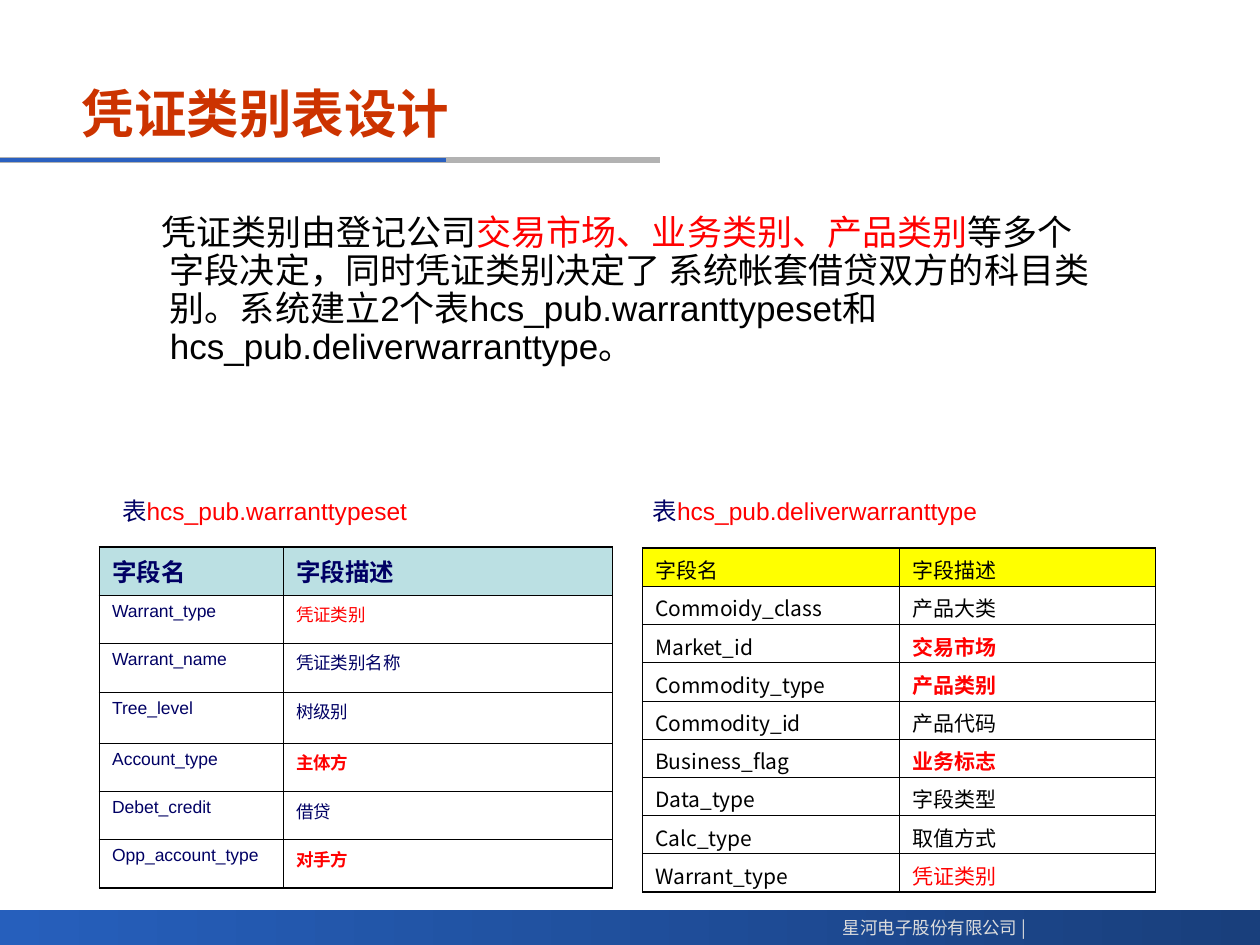
from lxml import etree
from pptx import Presentation
from pptx.dml.color import RGBColor
from pptx.enum.shapes import MSO_CONNECTOR, MSO_SHAPE
from pptx.enum.text import MSO_ANCHOR, PP_ALIGN
from pptx.oxml.ns import qn
from pptx.util import Inches, Pt

RECT = MSO_SHAPE.RECTANGLE
LINE = MSO_CONNECTOR.STRAIGHT
TOP, MID = MSO_ANCHOR.TOP, MSO_ANCHOR.MIDDLE
LEFT, RIGHT = PP_ALIGN.LEFT, PP_ALIGN.RIGHT

# The slide is a grid of square units.
COLS, ROWS = 100, 75
UNIT = Inches(0.1)
SANS, CJK = "Arial", "Noto Sans CJK SC"
INK = {
    "black": "000000", "red": "FF0000", "navy": "000064", "title": "CC3300",
    "blue": "2A60C0", "gray": "B2B2B2", "pale": "DDDDDD", "aqua": "BBE0E3",
    "yellow": "FFFF00", "dark": "193F7C", "light": "265FBC",
}

TYPES = [
    ("字段名", "字段描述"),
    ("Warrant_type", "凭证类别"),
    ("Warrant_name", "凭证类别名称"),
    ("Tree_level", "树级别"),
    ("Account_type", "主体方"),
    ("Debet_credit", "借贷"),
    ("Opp_account_type", "对手方"),
]
DELIVER = [
    ("字段名", "字段描述"),
    ("Commoidy_class", "产品大类"),
    ("Market_id", "交易市场"),
    ("Commodity_type", "产品类别"),
    ("Commodity_id", "产品代码"),
    ("Business_flag", "业务标志"),
    ("Data_type", "字段类型"),
    ("Calc_type", "取值方式"),
    ("Warrant_type", "凭证类别"),
]
KEYS = {"主体方", "对手方", "交易市场", "产品类别", "业务标志"}
REDS = KEYS | {"凭证类别"}


def rgb(name):
    return RGBColor.from_string(INK[name])


def grid(*vals):
    return [round(v * UNIT) for v in vals]


def assign(item, form):
    for name, val in form.items():
        setattr(item, name, val)


def write(frame, runs, font, para):
    """Fill the first paragraph with (text, colour) runs."""
    line = frame.paragraphs[0]
    assign(line, para)
    for text, ink in runs:
        run = line.add_run()
        run.text = text
        assign(run.font, font)
        run.font.color.rgb = rgb(ink)
        east = etree.SubElement(run.font._element, qn("a:ea"))
        east.set("typeface", CJK)
    return line


def label(slide, box, runs, font, para, anchor=TOP):
    frame = slide.shapes.add_textbox(*grid(*box)).text_frame
    assign(frame, {"word_wrap": True, "vertical_anchor": anchor})
    return write(frame, runs, font, para)


def rule(slide, width, top, ink, weight):
    line = slide.shapes.add_connector(LINE, *grid(0, top, width, top))
    line.line.color.rgb = rgb(ink)
    line.line.width = Pt(weight)
    etree.SubElement(line._element.spPr, qn("a:effectLst"))


def footer(slide, box):
    left, top, width, height = box
    bar = slide.shapes.add_shape(RECT, *grid(*box))
    bar.shadow.inherit = False
    bar.line.fill.background()
    bar.fill.gradient()
    bar.fill.gradient_angle = 180
    for stop, ink in zip(bar.fill.gradient_stops, ("dark", "light")):
        stop.color.rgb = rgb(ink)
    label(slide, (left + 0.63 * width, top + 0.1, 0.194 * width, height),
          [("星河电子股份有限公司 |", "pale")],
          {"size": Pt(10), "name": CJK}, {"alignment": RIGHT})


def header(slide, box):
    left, top, width, height = box
    label(slide, box, [("凭证类别表设计", "title")],
          {"size": Pt(30), "name": SANS, "bold": True},
          {"alignment": LEFT}, MID)
    base = top + height + 0.4
    rule(slide, 52.4, base, "gray", 3)
    rule(slide, 35.4, base, "blue", 2.25)


def body(slide, box):
    runs = [
        ("凭证类别由登记公司", "black"),
        ("交易市场、业务类别、产品类别", "red"),
        ("等多个字段决定，同时凭证类别决定了 系统帐套借贷双方的科目类别。"
         "系统建立2个表hcs_pub.warranttypeset和"
         "hcs_pub.deliverwarranttype。", "black"),
    ]
    line = label(slide, box, runs, {"size": Pt(20), "name": SANS},
                 {"line_spacing": 0.9, "space_before": Pt(5),
                  "space_after": Pt(5)})
    props = line._p.get_or_add_pPr()
    props.set("marL", str(Inches(0.38)))
    props.set("indent", str(Inches(-0.07)))


def border(cell, edges):
    """Draw the cell's sides; edges maps a side's tag to its weight."""
    props = cell._tc.get_or_add_tcPr()
    for spot, (tag, weight) in enumerate(edges.items()):
        side = etree.Element(qn("a:" + tag), w=str(Pt(weight)))
        fill = etree.SubElement(side, qn("a:solidFill"))
        etree.SubElement(fill, qn("a:srgbClr"), val=INK["black"])
        props.insert(spot, side)


def fields(slide, box, name, data, cols, rows, look):
    """Place a caption and its table of fields in the box."""
    left, top, width, height = box
    label(slide, (left + look["shift"], 39.1, 29.1, 3.1),
          [("表", "navy"), (name, "red")], {"size": Pt(14), "name": SANS},
          {"line_spacing": 0.9, "space_before": Pt(8.8),
           "space_after": Pt(3.5)})
    table = slide.shapes.add_table(len(data), 2, *grid(*box)).table
    assign(table, {"first_row": False, "horz_banding": False})
    for col, share in zip(table.columns, cols):
        col.width = round(share * UNIT)
    for row, share in zip(table.rows, rows):
        row.height = round(share * UNIT)
    last, rim, thin = len(data) - 1, look["rim"], 0.45
    for r, pair in enumerate(data):
        for c, text in enumerate(pair):
            cell = table.cell(r, c)
            cell.vertical_anchor = look["anchor"]
            if r == 0:
                cell.fill.solid()
                cell.fill.fore_color.rgb = rgb(look["head"])
            else:
                cell.fill.background()
            border(cell, {
                "lnL": rim if c == 0 else thin,
                "lnR": rim if c == 1 else thin,
                "lnT": rim if r == 0 else thin,
                "lnB": rim if r == last else thin,
            })
            size, gap = look["top"] if r == 0 else look["rest"]
            bold = text in KEYS or (r == 0 and look["strong"])
            write(cell.text_frame,
                  [(text, "red" if text in REDS else look["ink"])],
                  {"size": Pt(size), "name": look["name"], "bold": bold},
                  {"space_before": Pt(gap), "space_after": Pt(gap)})


def main():
    deck = Presentation()
    deck.slide_width, deck.slide_height = grid(COLS, ROWS)
    slide = deck.slides.add_slide(deck.slide_layouts[6])
    footer(slide, (0, 72.2, COLS, 2.8))
    header(slide, (5.5, 5.6, 69.2, 6.7))
    body(slide, (8.7, 16.6, 79.5, 18.5))
    fields(slide, (7.9, 43.4, 40.7, 27.1), "hcs_pub.warranttypeset", TYPES,
           (14.6, 26.1), (3.85, 3.8, 3.9, 4.05, 3.85, 3.8, 3.85),
           {"shift": 0.8, "rim": 1.08, "anchor": TOP, "head": "aqua",
            "top": (14, 3.5), "rest": (10, 2.5), "strong": True,
            "ink": "navy", "name": SANS})
    fields(slide, (51, 43.5, 40.7, 27.3), "hcs_pub.deliverwarranttype",
           DELIVER, (20.4, 20.3), [27.3 / len(DELIVER)] * len(DELIVER),
           {"shift": -0.2, "rim": 0.96, "anchor": MID, "head": "yellow",
            "top": (12, 0), "rest": (12, 0), "strong": False,
            "ink": "black", "name": CJK})
    deck.save("out.pptx")


if __name__ == "__main__":
    main()
